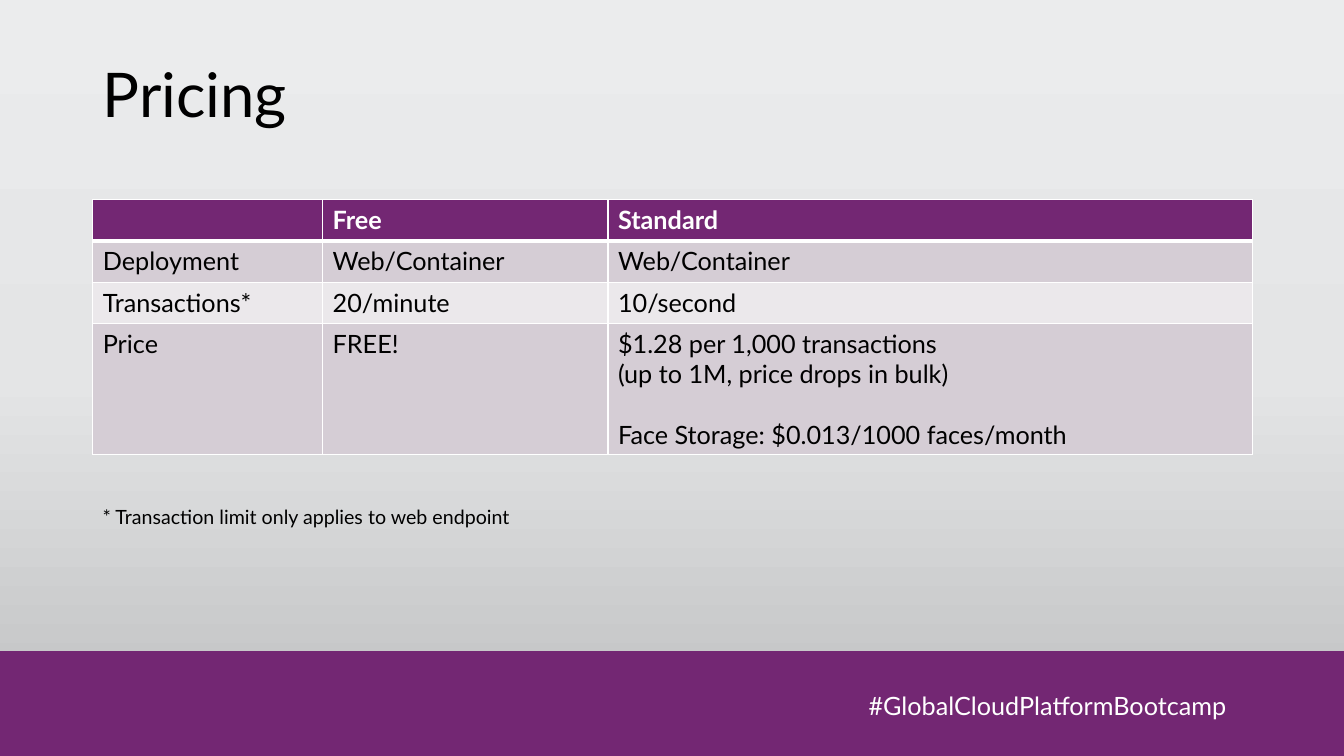
import copy
import pptx
import pptx.util
import pptx.dml.color
import pptx.enum.shapes
import pptx.enum.text
import pptx.oxml
import pptx.oxml.ns

Inches = pptx.util.Inches
Pt = pptx.util.Pt
ALIGN = pptx.enum.text.PP_ALIGN
ANCHOR = pptx.enum.text.MSO_ANCHOR


class Theme:
    font = "Lato"
    purple, white, black = "732773", "FFFFFF", "000000"
    bands = ["D5CDD5", "EBE8EB"]
    sky = [(0, "EBECED"), (0.5, "E4E5E6"), (1, "BDBEBF")]
    title, body, note = 44, 18, 14
    thin, thick = 1, 3


COLS = [2.28, 2.83, 6.39]
ROWS = [0.41, 0.41, 0.41, 1.29]
PRICES = [
    ["", "Free", "Standard"],
    ["Deployment", "Web/Container", "Web/Container"],
    ["Transactions*", "20/minute", "10/second"],
    ["Price", "FREE!",
     "$1.28 per 1,000 transactions\n(up to 1M, price drops in bulk)\n"
     "Face Storage: $0.013/1000 faces/month"],
]


def rgb(code):
    return pptx.dml.color.RGBColor.from_string(code)


def style(frame, size, color, bold=False):
    for para in frame.paragraphs:
        for run in para.runs:
            run.font.name = Theme.font
            run.font.size = Pt(size)
            run.font.bold = bold
            run.font.color.rgb = rgb(color)


def label(slide, box, text, size, color, align=ALIGN.LEFT, anchor=ANCHOR.TOP):
    frame = slide.shapes.add_textbox(*map(Inches, box)).text_frame
    frame.word_wrap = True
    frame.vertical_anchor = anchor
    frame.text = text
    frame.paragraphs[0].alignment = align
    style(frame, size, color)
    return frame


def backdrop(slide):
    fill = slide.background.fill
    fill.gradient()
    fill.gradient_angle = 270
    stops = slide.element.xpath(".//a:gsLst")[0]
    stops.insert(1, copy.deepcopy(stops[0]))
    for stop, (place, color) in zip(fill.gradient_stops, Theme.sky):
        stop.position = place
        stop.color.rgb = rgb(color)


def footer(slide, box):
    left, top, width, height = box
    band = slide.shapes.add_shape(
        pptx.enum.shapes.MSO_SHAPE.RECTANGLE, *map(Inches, box))
    band.shadow.inherit = False
    band.fill.solid()
    band.fill.fore_color.rgb = rgb(Theme.purple)
    band.line.fill.background()
    label(slide, (left + 7.94, top + 0.34, 4.32, 0.4),
          "#GlobalCloudPlatformBootcamp", Theme.body, Theme.white, ALIGN.RIGHT)


def header(slide, box):
    frame = label(slide, box, "Pricing", Theme.title, Theme.black,
                  anchor=ANCHOR.MIDDLE)
    frame.paragraphs[0].line_spacing = 0.9


def border(cell, row):
    """Draw white edges, thicker between the heading and the first row."""
    widths = {"L": Theme.thin, "R": Theme.thin,
              "T": Theme.thick if row == 1 else Theme.thin,
              "B": Theme.thick if row == 0 else Theme.thin}
    props = cell._tc.get_or_add_tcPr()
    for spot, (side, width) in enumerate(widths.items()):
        props.insert(spot, pptx.oxml.parse_xml(
            f'<a:ln{side} {pptx.oxml.ns.nsdecls("a")} w="{Pt(width)}">'
            f'<a:solidFill><a:srgbClr val="{Theme.white}"/></a:solidFill>'
            f'</a:ln{side}>'))


def prices(slide, box):
    table = slide.shapes.add_table(
        len(ROWS), len(COLS), *map(Inches, box)).table
    for col, width in zip(table.columns, COLS):
        col.width = Inches(width)
    for row, height in zip(table.rows, ROWS):
        row.height = Inches(height)
    for r, texts in enumerate(PRICES):
        head = r == 0
        for c, text in enumerate(texts):
            cell = table.cell(r, c)
            cell.text_frame.text = text
            cell.fill.solid()
            cell.fill.fore_color.rgb = rgb(
                Theme.purple if head else Theme.bands[(r - 1) % 2])
            style(cell.text_frame, Theme.body,
                  Theme.white if head else Theme.black, head)
            border(cell, r)
    store = table.cell(3, 2).text_frame.paragraphs[-1]
    store.space_before = Pt(Theme.body * 1.2)


def main():
    deck = pptx.Presentation()
    deck.slide_width, deck.slide_height = Inches(13.33), Inches(7.5)
    slide = deck.slides.add_slide(deck.slide_layouts[6])
    backdrop(slide)
    footer(slide, (0, 6.46, 13.33, 1.04))
    header(slide, (0.92, 0.4, 11.5, 1.13))
    prices(slide, (0.92, 1.98, sum(COLS), sum(ROWS)))
    label(slide, (0.92, 4.96, 11.5, 0.35),
          "* Transaction limit only applies to web endpoint",
          Theme.note, Theme.black)
    deck.save("out.pptx")


if __name__ == "__main__":
    main()
